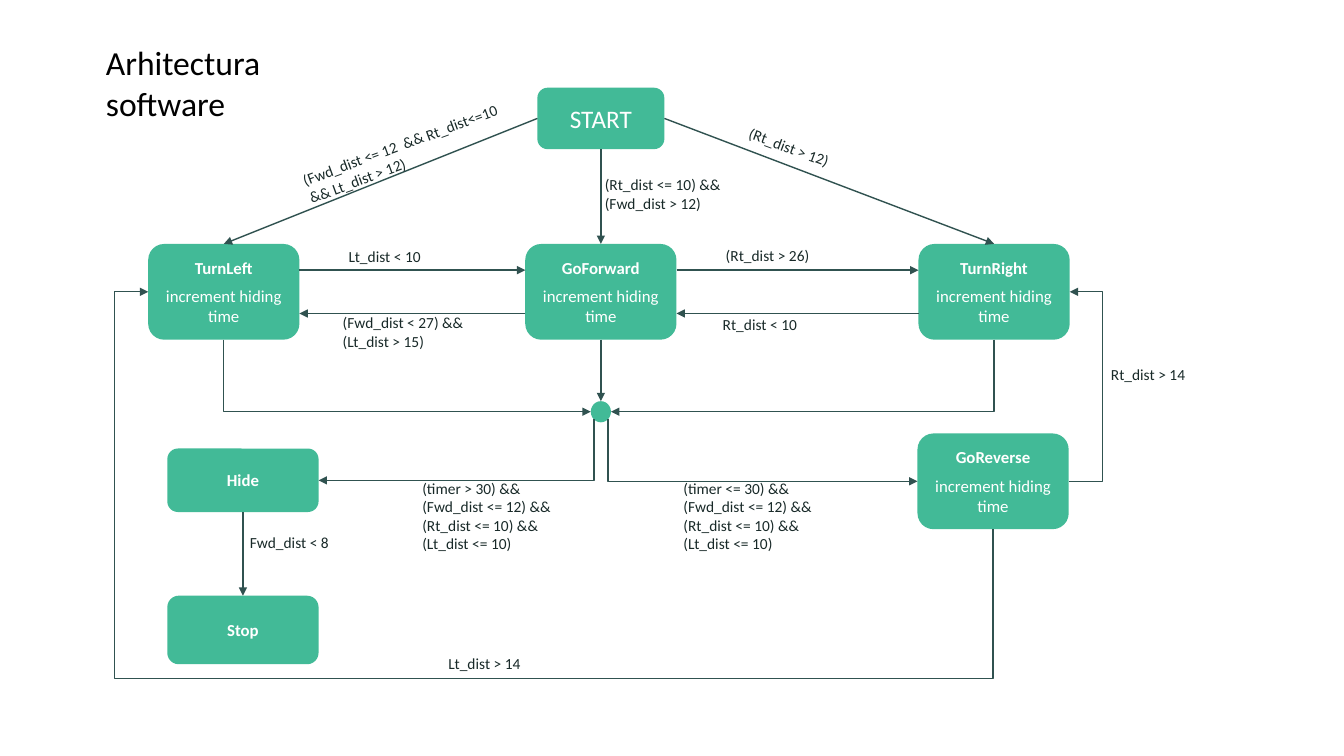
import pptx
import pptx.util
import pptx.dml.color
import pptx.enum.shapes
import pptx.enum.text
import pptx.oxml.ns
from dataclasses import dataclass
from lxml import etree

Inches = pptx.util.Inches
Pt = pptx.util.Pt
qn = pptx.oxml.ns.qn
Kind = pptx.enum.shapes.MSO_SHAPE
Line = pptx.enum.shapes.MSO_CONNECTOR
Align = pptx.enum.text.PP_ALIGN
Anchor = pptx.enum.text.MSO_ANCHOR

TOP, LEFT, BOTTOM, RIGHT = range(4)
# Connection sites as fractions of width and height, counted from the top
SITES = {
    Kind.ROUNDED_RECTANGLE: [(.5, 0), (0, .5), (.5, 1), (1, .5)],
    Kind.OVAL: [(.5, 0), (.15, .15), (0, .5), (.15, .85),
                (.5, 1), (.85, .85), (1, .5), (.85, .15)],
}


@dataclass(frozen=True)
class Theme:
    font: str = "Calibri"
    green: str = "42BA97"
    line: str = "305250"
    ink: str = "182928"
    black: str = "000000"
    white: str = "FFFFFF"
    title: int = 24
    start: int = 18
    node: int = 12
    label: int = 11
    gap: int = 6


THEME = Theme()


def rgb(code):
    return pptx.dml.color.RGBColor.from_string(code)


def write(frame, text, size, color, align=Align.LEFT, anchor=Anchor.TOP,
          bold=False, gap=0):
    """Fill a frame, one paragraph a line; bold applies to the first."""
    frame.word_wrap = True
    frame.vertical_anchor = anchor
    frame.text = text
    for i, para in enumerate(frame.paragraphs):
        para.alignment = align
        para.space_before = Pt(gap)
        font = para.runs[0].font
        font.name, font.size = THEME.font, Pt(size)
        font.bold = bold and i == 0
        font.color.rgb = rgb(color)


def node(slide, x, y, w, h, text="", size=THEME.node, bold=True,
         kind=Kind.ROUNDED_RECTANGLE):
    shape = slide.shapes.add_shape(
        kind, Inches(x), Inches(y), Inches(w), Inches(h))
    shape.shadow.inherit = False
    shape.fill.solid()
    shape.fill.fore_color.rgb = rgb(THEME.green)
    shape.line.fill.background()
    if text:
        write(shape.text_frame, text, size, THEME.white, Align.CENTER,
              Anchor.MIDDLE, bold, THEME.gap)
    return shape


def label(slide, text, x, y, w=1.73, h=0.29, turn=0):
    box = slide.shapes.add_textbox(Inches(x), Inches(y), Inches(w), Inches(h))
    box.rotation = turn
    write(box.text_frame, text, THEME.label, THEME.ink)


def arrow(slide, begin, end, kind=Line.STRAIGHT):
    wire = slide.shapes.add_connector(kind, *begin, *end)
    wire.line.color.rgb = rgb(THEME.line)
    wire.line.width = Pt(1)
    etree.SubElement(wire.line._get_or_add_ln(), qn("a:tailEnd"),
                     type="triangle")
    etree.SubElement(wire.element.spPr, qn("a:effectLst"))
    return wire


def site(shape, index):
    fx, fy = SITES[shape.auto_shape_type][index]
    return (int(shape.left + fx * shape.width),
            int(shape.top + fy * shape.height))


def link(slide, first, out, last, into, kind=Line.STRAIGHT):
    """Draw an arrow between two sites and glue both its ends."""
    wire = arrow(slide, site(first, out), site(last, into), kind)
    props = wire.element.find(".//" + qn("p:cNvCxnSpPr"))
    for tag, shape, index in (("a:stCxn", first, out), ("a:endCxn", last, into)):
        etree.SubElement(props, qn(tag), id=str(shape.shape_id), idx=str(index))
    return wire


def bend(wire, preset, *ratios):
    """Choose the elbow's preset and the places of its inner bends."""
    geom = wire.element.spPr.find(qn("a:prstGeom"))
    geom.set("prst", preset)
    guides = geom.find(qn("a:avLst"))
    for i, ratio in enumerate(ratios, 1):
        etree.SubElement(guides, qn("a:gd"), name=f"adj{i}" if len(ratios) > 1
                         else "adj1", fmla=f"val {round(ratio * 100000)}")


def drop(slide, first, out, last, into, preset="bentConnector2", ratios=()):
    """Link by an elbow that leaves its first node downwards."""
    wire = link(slide, first, out, last, into, Line.ELBOW)
    dx, dy = wire.end_x - wire.begin_x, wire.end_y - wire.begin_y
    midx, midy = wire.begin_x + dx // 2, wire.begin_y + dy // 2
    wire.width, wire.height = abs(dy), abs(dx)
    wire.left, wire.top = midx - abs(dy) // 2, midy - abs(dx) // 2
    frame = wire.element.spPr.find(qn("a:xfrm"))
    frame.set("rot", str((270 if dx > 0 else 90) * 60000))
    frame.set("flipH", str(int((dx > 0) != (dy < 0))))
    frame.set("flipV", "0")
    bend(wire, preset, *ratios)


def head(slide, text):
    title = slide.shapes.title
    title.left, title.top = Inches(0.95), Inches(0.37)
    title.width, title.height = Inches(2.91), Inches(0.5)
    write(title.text_frame, text, THEME.title, THEME.black)
    title.text_frame.auto_size = pptx.enum.text.MSO_AUTO_SIZE.NONE


def main():
    deck = pptx.Presentation()
    deck.slide_width, deck.slide_height = Inches(13.33), Inches(7.5)
    slide = deck.slides.add_slide(deck.slide_layouts[5])
    head(slide, "Arhitectura software")

    start = node(slide, 5.33, 0.87, 1.26, 0.61, "START", THEME.start, False)
    left, ahead, right, back = [
        node(slide, x, y, 1.5, 0.95, name + "\nincrement hiding time")
        for name, x, y in (("TurnLeft", 1.47, 2.42), ("GoForward", 5.21, 2.42),
                           ("TurnRight", 9.11, 2.42), ("GoReverse", 9.1, 4.3))]
    hide = node(slide, 1.66, 4.45, 1.5, 0.63, "Hide")
    stop = node(slide, 1.66, 5.91, 1.5, 0.68, "Stop")
    hub = node(slide, 5.86, 3.98, 0.2, 0.21, kind=Kind.OVAL)

    for first, out, last in ((start, LEFT, left), (start, BOTTOM, ahead),
                             (start, RIGHT, right), (ahead, BOTTOM, hub),
                             (hide, BOTTOM, stop)):
        link(slide, first, out, last, TOP)
    for west, east in ((left, ahead), (ahead, right)):
        x1, x2 = west.left + west.width, east.left
        high, low = Inches(2.68), Inches(3.11)
        arrow(slide, (x1, high), (x2, high))
        arrow(slide, (x2, low), (x1, low))

    drop(slide, left, BOTTOM, hub, 2)
    drop(slide, right, BOTTOM, hub, 6)
    drop(slide, hub, 3, hide, RIGHT)
    drop(slide, hub, 5, back, LEFT)
    drop(slide, back, BOTTOM, left, LEFT, "bentConnector4", (-0.63, 1.04))
    bend(link(slide, back, RIGHT, right, RIGHT, Line.ELBOW),
         "bentConnector3", 34)

    label(slide, "(Fwd_dist <= 12  && Rt_dist<=10 && Lt_dist > 12)",
          2.88, 1.29, 2.25, 0.47, turn=339.8)
    label(slide, "(Rt_dist > 12)", 7.29, 1.44, turn=20.3)
    label(slide, "(Rt_dist <= 10) && (Fwd_dist > 12)", 5.9, 1.69, h=0.47)
    label(slide, "(Fwd_dist < 27) && (Lt_dist > 15)", 3.3, 3.06, h=0.47)
    label(slide, "Lt_dist < 10", 3.36, 2.4)
    label(slide, "(Rt_dist > 26)", 7.1, 2.39)
    label(slide, "Rt_dist < 10", 7.07, 3.08)
    for sign, x in ((">", 4.09), ("<=", 6.68)):
        label(slide, f"(timer {sign} 30) && (Fwd_dist <= 12) && "
              "(Rt_dist <= 10) && (Lt_dist <= 10)", x, 4.7, h=0.84)
    label(slide, "Fwd_dist < 8", 2.38, 5.24)
    label(slide, "Lt_dist > 14", 4.35, 6.44, 3.54)
    label(slide, "Rt_dist > 14", 10.92, 3.57, 2.3)

    deck.save("out.pptx")


if __name__ == "__main__":
    main()
